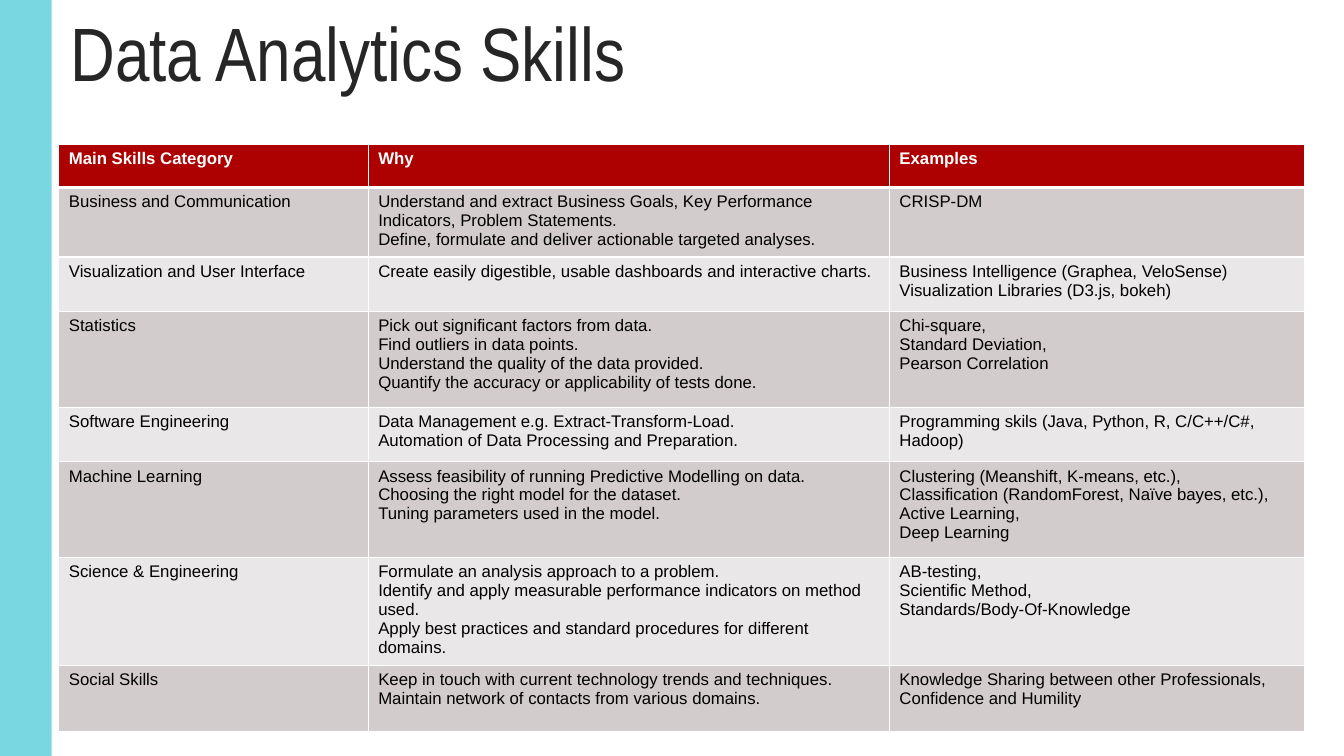
from lxml.etree import SubElement
from pptx import Presentation
from pptx.dml.color import RGBColor
from pptx.enum.shapes import MSO_SHAPE
from pptx.enum.text import MSO_ANCHOR, PP_ALIGN
from pptx.oxml.ns import qn
from pptx.util import Pt

COLORS = {
    "band": "79D7E1",
    "title": "262626",
    "header": "AD0101",
    "odd row": "D3CCCD",
    "even row": "EAE7E8",
    "rule": "FFFFFF",
    "header text": "FFFFFF",
    "body text": "000000",
}
FORMATS = {
    "title": {"name": "Arial Narrow", "size": Pt(54), "bold": False},
    "header text": {"name": "Arial", "size": Pt(12), "bold": True},
    "body text": {"name": "Arial", "size": Pt(12), "bold": False},
}
COLUMN_WIDTHS = [221, 372.3, 296.6]
ROW_HEIGHTS = [30.9, 49.7, 38.9, 68.4, 38.9, 68.4, 77, 47.5]
SKILLS = [
    ("Main Skills Category", "Why", "Examples"),
    ("Business and Communication",
     "Understand and extract Business Goals, Key Performance Indicators, Problem Statements.\n"
     "Define, formulate and deliver actionable targeted analyses.",
     "CRISP-DM"),
    ("Visualization and User Interface",
     "Create easily digestible, usable dashboards and interactive charts.",
     "Business Intelligence (Graphea, VeloSense)\n"
     "Visualization Libraries (D3.js, bokeh)"),
    ("Statistics",
     "Pick out significant factors from data.\n"
     "Find outliers in data points.\n"
     "Understand the quality of the data provided.\n"
     "Quantify the accuracy or applicability of tests done.",
     "Chi-square,\nStandard Deviation,\nPearson Correlation"),
    ("Software Engineering",
     "Data Management e.g. Extract-Transform-Load.\n"
     "Automation of Data Processing and Preparation.",
     "Programming skils (Java, Python, R, C/C++/C#, Hadoop)"),
    ("Machine Learning",
     "Assess feasibility of running Predictive Modelling on data.\n"
     "Choosing the right model for the dataset.\n"
     "Tuning parameters used in the model.",
     "Clustering (Meanshift, K-means, etc.),\n"
     "Classification (RandomForest, Naïve bayes, etc.),\n"
     "Active Learning,\nDeep Learning"),
    ("Science & Engineering",
     "Formulate an analysis approach to a problem.\n"
     "Identify and apply measurable performance indicators on method used.\n"
     "Apply best practices and standard procedures for different domains.",
     "AB-testing,\nScientific Method,\nStandards/Body-Of-Knowledge"),
    ("Social Skills",
     "Keep in touch with current technology trends and techniques.\n"
     "Maintain network of contacts from various domains.",
     "Knowledge Sharing between other Professionals,\nConfidence and Humility"),
]


def color(role):
    """Return the colour of a role."""
    return RGBColor.from_string(COLORS[role])


def style_text(text_frame, role):
    """Apply the format of a role to every paragraph."""
    for paragraph in text_frame.paragraphs:
        paragraph.alignment = PP_ALIGN.LEFT
        for attribute, value in FORMATS[role].items():
            setattr(paragraph.font, attribute, value)
        paragraph.font.color.rgb = color(role)


def add_side_band(slide, left, top, width, height):
    """Draw the coloured band along the slide edge."""
    band = slide.shapes.add_shape(MSO_SHAPE.RECTANGLE, Pt(left), Pt(top), Pt(width), Pt(height))
    band.shadow.inherit = False
    band.fill.solid()
    band.fill.fore_color.rgb = color("band")
    band.line.fill.background()


def place_title(slide, left, top, width, height):
    """Fill and position the title placeholder."""
    title = slide.shapes.title
    box = {"left": left, "top": top, "width": width, "height": height}
    for attribute, value in box.items():
        setattr(title, attribute, Pt(value))
    title.text_frame.text = "Data Analytics Skills"
    title.text_frame.word_wrap = True
    title.text_frame.vertical_anchor = MSO_ANCHOR.BOTTOM
    style_text(title.text_frame, "title")


def add_borders(cell, widths):
    """Rule the cell edges with the given widths."""
    properties = cell._tc.get_or_add_tcPr()
    for edge, width in widths.items():
        rule = SubElement(properties, qn(f"a:ln{edge}"), w=str(Pt(width)))
        fill = SubElement(rule, qn("a:solidFill"))
        SubElement(fill, qn("a:srgbClr"), val=COLORS["rule"])


def add_skills_table(slide, left, top, width, height):
    """Build the banded table of skills."""
    table = slide.shapes.add_table(
        len(SKILLS), len(COLUMN_WIDTHS), Pt(left), Pt(top), Pt(width), Pt(height)).table
    for column, column_width in zip(table.columns, COLUMN_WIDTHS):
        column.width = Pt(column_width)
    for row_index, (row, row_height) in enumerate(zip(table.rows, ROW_HEIGHTS)):
        row.height = Pt(row_height)
        is_header = row_index == 0
        background = "header" if is_header else "odd row" if row_index % 2 else "even row"
        rules = {"L": 1, "R": 1, "T": 3 if row_index == 1 else 1, "B": 3 if is_header else 1}
        for cell, wording in zip(row.cells, SKILLS[row_index]):
            cell.text = wording
            style_text(cell.text_frame, "header text" if is_header else "body text")
            add_borders(cell, rules)
            cell.fill.solid()
            cell.fill.fore_color.rgb = color(background)


def build_skills_slide(presentation):
    """Compose the skills slide."""
    slide = presentation.slides.add_slide(presentation.slide_layouts[5])
    add_side_band(slide, 0, 0, 37, 540)
    place_title(slide, 43.2, 15.1, 889.9, 57.6)
    add_skills_table(slide, 42, 103, sum(COLUMN_WIDTHS), sum(ROW_HEIGHTS))


def main():
    """Create and save the presentation."""
    presentation = Presentation()
    presentation.slide_width = Pt(960)
    presentation.slide_height = Pt(540)
    build_skills_slide(presentation)
    presentation.save("out.pptx")


if __name__ == "__main__":
    main()
